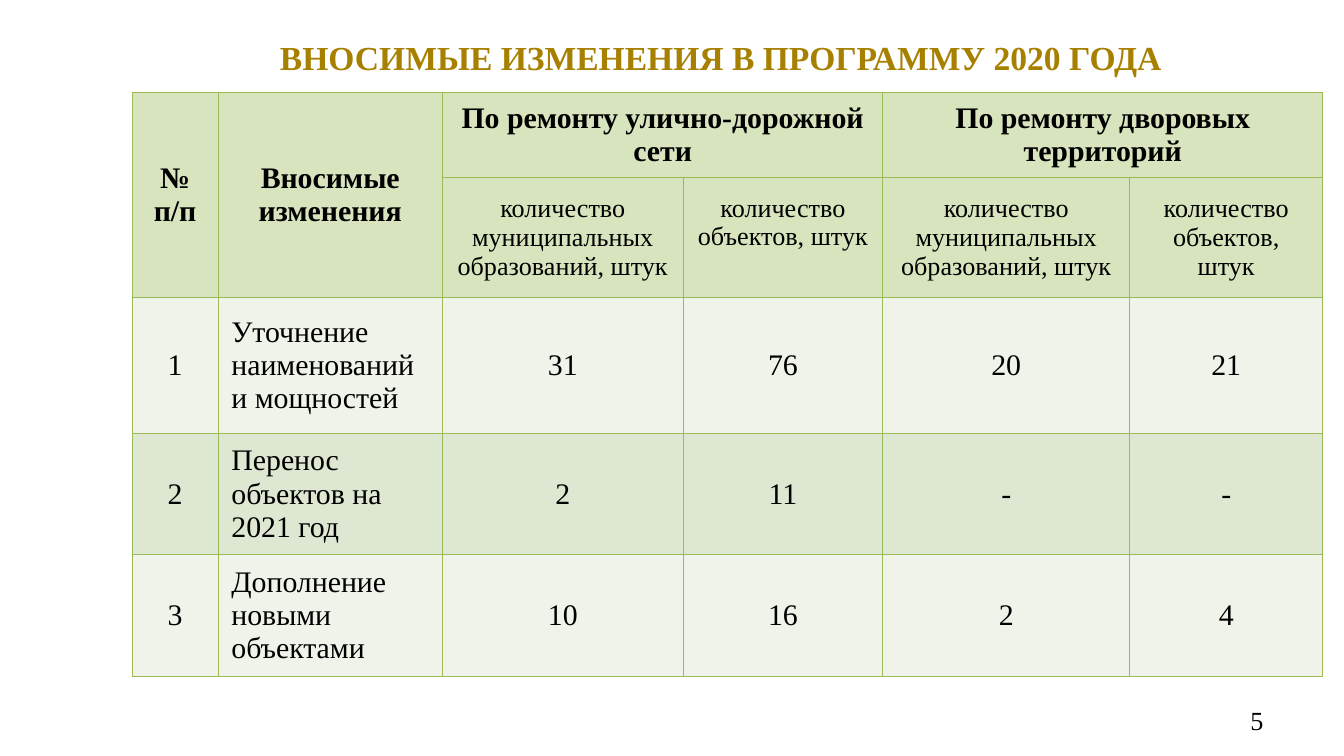
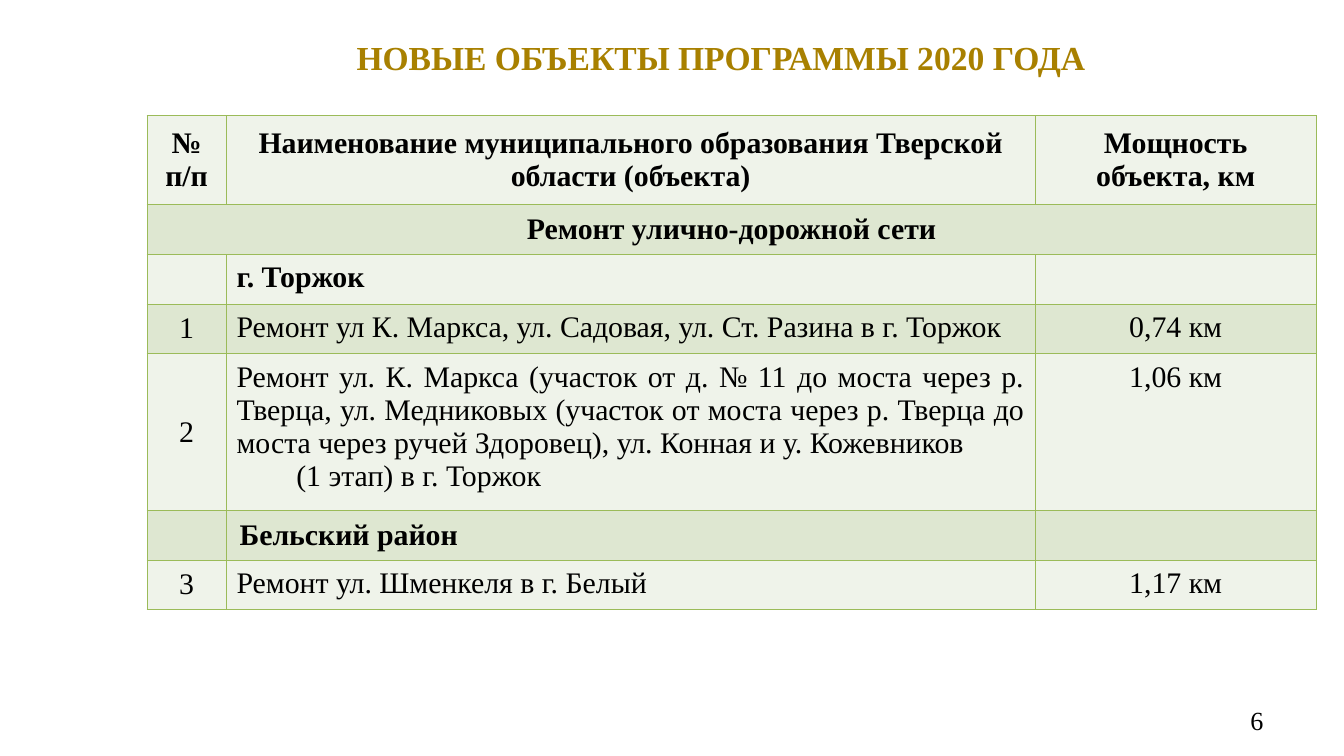
from lxml import etree
from pptx import Presentation
from pptx.dml.color import RGBColor
from pptx.enum.text import MSO_ANCHOR as ANCHOR, PP_ALIGN as ALIGN
from pptx.oxml.ns import qn
from pptx.util import Pt

FONT = "Times New Roman"
BLACK = RGBColor(0x00, 0x00, 0x00)
GOLD = RGBColor(0xA8, 0x80, 0x00)
HEAD = RGBColor(0xD7, 0xE4, 0xBD)
LIGHT = RGBColor(0xEF, 0xF3, 0xEA)
DARK = RGBColor(0xDE, 0xE7, 0xD1)
GRID = RGBColor(0x9B, 0xBB, 0x59)

# Boxes: left, top, width, height
TITLE_BOX = (78.5, 16.6, 615.6, 28)
NUMBER_BOX = (516.2, 375.1, 167.8, 21.6)
NARROW = 5.6  # side margin of the tighter cells


def write(tf, text, size, bold=False, color=BLACK, align=ALIGN.CENTER):
    """Write each line of text as one formatted paragraph."""
    tf.text = text
    for p in tf.paragraphs:
        p.alignment = align
        for r in p.runs:
            r.font.name, r.font.size, r.font.bold = FONT, Pt(size), bold
            r.font.color.rgb = color


def add_text(slide, box, text, size, **style):
    tf = slide.shapes.add_textbox(*map(Pt, box)).text_frame
    tf.word_wrap = True
    tf.vertical_anchor = ANCHOR.MIDDLE
    write(tf, text, size, **style)


def add_base(prs, title, number):
    """New slide with the shared title and page number."""
    slide = prs.slides.add_slide(prs.slide_layouts[6])
    add_text(slide, NUMBER_BOX, str(number), 14, align=ALIGN.RIGHT)
    add_text(slide, TITLE_BOX, title, 18, bold=True, color=GOLD)
    return slide


def set_borders(cell):
    tc_pr = cell._tc.get_or_add_tcPr()
    for i, side in enumerate(("lnL", "lnR", "lnT", "lnB")):
        ln = etree.Element(qn(f"a:{side}"), w=str(Pt(0.45)))
        fill = etree.SubElement(ln, qn("a:solidFill"))
        etree.SubElement(fill, qn("a:srgbClr"), val=str(GRID))
        tc_pr.insert(i, ln)


def add_grid(slide, left, top, col_widths, row_heights, fills):
    """Empty table with one fill per row and thin borders."""
    frame = slide.shapes.add_table(
        len(row_heights), len(col_widths), Pt(left), Pt(top),
        Pt(sum(col_widths)), Pt(sum(row_heights)))
    table = frame.table
    table.first_row = table.horz_banding = False
    for col, width in zip(table.columns, col_widths):
        col.width = Pt(width)
    for row, height, color in zip(table.rows, row_heights, fills):
        row.height = Pt(height)
        for cell in row.cells:
            cell.fill.solid()
            cell.fill.fore_color.rgb = color
            cell.margin_top = cell.margin_bottom = 0
            set_borders(cell)
    return table


def fill_cell(cell, text, size=16, anchor=ANCHOR.MIDDLE, side=7.2, **style):
    if not text:
        return
    cell.margin_left = cell.margin_right = Pt(side)
    cell.margin_top = cell.margin_bottom = Pt(3.6)
    cell.vertical_anchor = anchor
    write(cell.text_frame, text, size, **style)


def changes_table(slide, left, top):
    """Counts of changes under a two-level header."""
    table = add_grid(slide, left, top,
                     [46, 120.3, 128.9, 107, 132.3, 103.4],
                     [45.6, 64.2, 72.8, 65, 65],
                     [HEAD, HEAD, LIGHT, DARK, LIGHT])

    # Header
    groups = [(0, "№ п/п", 1, 0), (1, "Вносимые изменения", 1, 1),
              (2, "По ремонту улично-дорожной сети", 0, 3),
              (4, "По ремонту дворовых территорий", 0, 5)]
    for col, text, last_row, last_col in groups:
        cell = table.cell(0, col)
        cell.merge(table.cell(last_row, last_col))
        fill_cell(cell, text, bold=True)
    for col in (2, 4):
        fill_cell(table.cell(1, col),
                  "количество муниципальных образований, штук", 14)
        fill_cell(table.cell(1, col + 1), "количество\nобъектов, штук", 14)
    # Raise the street count heading level with its neighbours
    table.cell(1, 3).margin_bottom = Pt(19.7)

    # Body
    body = [("1", "Уточнение наименований и мощностей", "31", "76", "20", "21"),
            ("2", "Перенос объектов на 2021 год", "2", "11", "-", "-"),
            ("3", "Дополнение новыми объектами", "10", "16", "2", "4")]
    for row, texts in enumerate(body, 2):
        for col, text in enumerate(texts):
            align = ALIGN.LEFT if col == 1 else ALIGN.CENTER
            fill_cell(table.cell(row, col), text, align=align)


def objects_table(slide, left, top):
    """New objects grouped by municipality."""
    line = 26.6
    table = add_grid(slide, left, top, [42.4, 433.4, 150.5],
                     [47.8, line, line, line, 83.5, line, line],
                     [LIGHT, DARK] * 3 + [LIGHT])

    # Header and section band
    headings = ["№ п/п", "Наименование муниципального образования "
                "Тверской области (объекта)", "Мощность объекта, км"]
    for col, text in enumerate(headings):
        fill_cell(table.cell(0, col), text, bold=True,
                  side=NARROW if col else 7.2)
    section = table.cell(1, 0)
    section.merge(table.cell(1, 2))
    fill_cell(section, "Ремонт улично-дорожной сети", bold=True)

    # Municipalities
    fill_cell(table.cell(2, 1), "г. Торжок", bold=True, anchor=ANCHOR.TOP,
              side=NARROW, align=ALIGN.JUSTIFY)
    fill_cell(table.cell(5, 1), "Бельский район", bold=True,
              align=ALIGN.JUSTIFY)

    # Objects
    objects = [
        (3, "1", "Ремонт ул К. Маркса, ул. Садовая, ул. Ст. Разина в г. Торжок",
         "0,74 км"),
        (4, "2", "Ремонт ул. К. Маркса (участок от д. № 11 до моста через р. "
         "Тверца, ул. Медниковых (участок от моста через р. Тверца до моста "
         "через ручей Здоровец), ул. Конная и у. Кожевников\n"
         "(1 этап) в г. Торжок", "1,06 км"),
        (6, "3", "Ремонт ул. Шменкеля в г. Белый", "1,17 км")]
    for row, number, name, length in objects:
        fill_cell(table.cell(row, 0), number)
        fill_cell(table.cell(row, 1), name, anchor=ANCHOR.TOP, side=NARROW,
                  align=ALIGN.JUSTIFY)
        fill_cell(table.cell(row, 2), length, anchor=ANCHOR.TOP, side=NARROW)
    stage = table.cell(4, 1).text_frame.paragraphs[1]
    stage._p.get_or_add_pPr().set("marL", str(Pt(32)))


def main():
    prs = Presentation()
    prs.slide_width, prs.slide_height = Pt(720), Pt(405)
    changes_table(add_base(prs, "ВНОСИМЫЕ ИЗМЕНЕНИЯ В ПРОГРАММУ 2020 ГОДА", 5),
                  70.8, 49.6)
    objects_table(add_base(prs, "НОВЫЕ ОБЪЕКТЫ ПРОГРАММЫ 2020 ГОДА", 6),
                  78.8, 61.9)
    prs.save("out.pptx")


if __name__ == "__main__":
    main()
